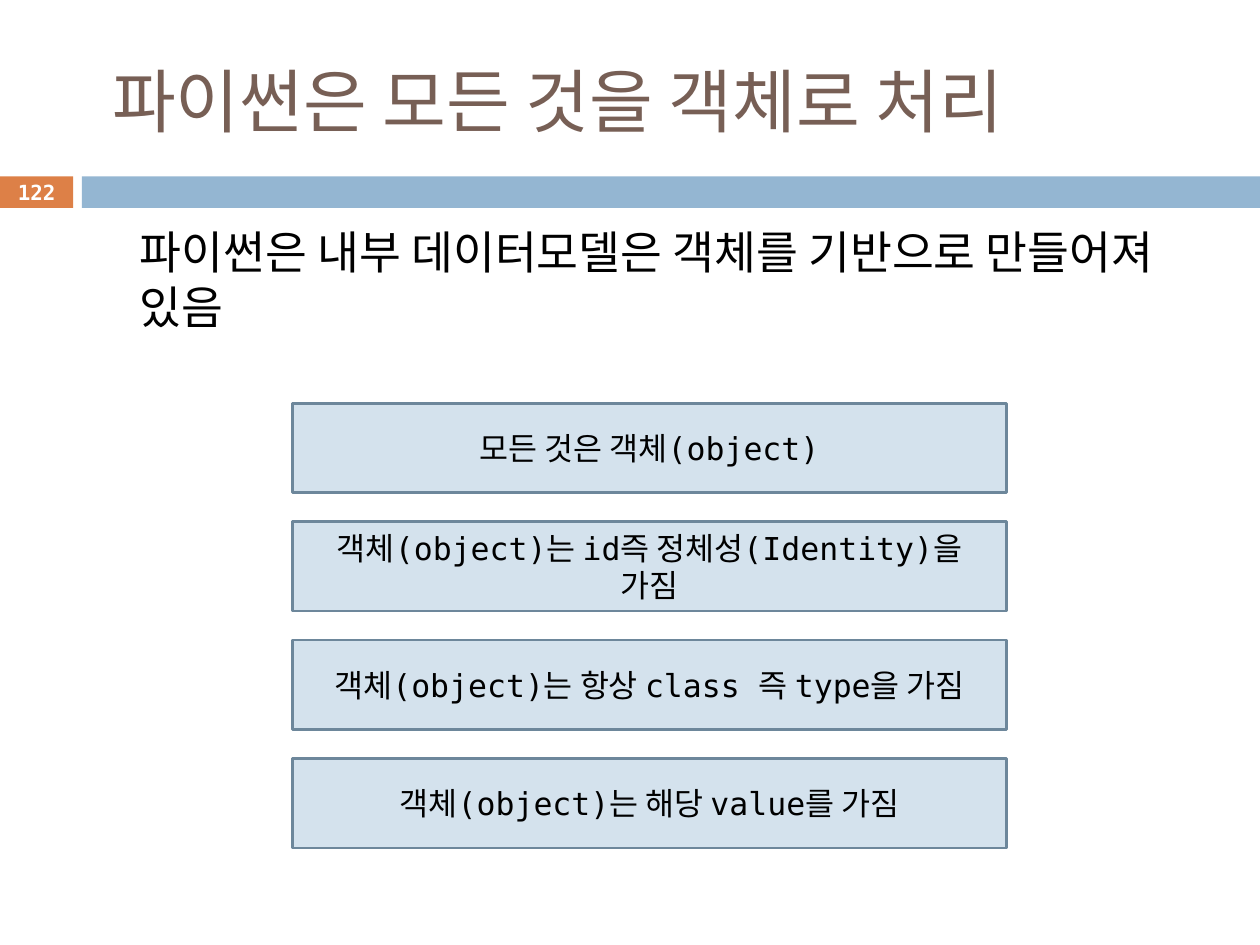
from lxml.etree import SubElement
from pptx import Presentation
from pptx.dml.color import RGBColor
from pptx.enum.shapes import MSO_SHAPE
from pptx.enum.text import MSO_ANCHOR, MSO_AUTO_SIZE, PP_ALIGN
from pptx.oxml.ns import qn
from pptx.util import Inches, Pt

TITLE = "파이썬은 모든 것을 객체로 처리"
SUMMARY = "파이썬은 내부 데이터모델은 객체를 기반으로 만들어져 있음"
PAGE_NUMBER = "122"
OBJECT_FACTS = [
    "모든 것은 객체(object)",
    "객체(object)는 id즉 정체성(Identity)을 가짐",
    "객체(object)는 항상 class 즉 type을 가짐",
    "객체(object)는 해당 value를 가짐",
]

THEME = {
    "font": "DejaVu Sans Mono",
    "title": "775F55", "text": "000000", "page": "FFFFFF",
    "accent": "DD8047", "band": "94B6D2",
    "fact_fill": "D4E2ED", "fact_line": "6D879B",
    "title_size": 39.6, "summary_size": 26, "fact_size": 18, "page_size": 11.9,
}

BAND_TOP, BAND_HEIGHT = 1.4, 0.25
FACT_LEFT, FACT_TOP, FACT_WIDTH, FACT_HEIGHT = 2.32, 3.2, 5.67, 0.71
FACT_PITCH = 0.94


def color(role):
    return RGBColor.from_string(THEME[role])


def place(shape, left, top, width, height):
    shape.left, shape.top = Inches(left), Inches(top)
    shape.width, shape.height = Inches(width), Inches(height)


def write(shape, text, size, role, align, anchor, bold=False):
    frame = shape.text_frame
    frame.word_wrap = True
    frame.auto_size = MSO_AUTO_SIZE.NONE
    frame.vertical_anchor = anchor
    paragraph = frame.paragraphs[0]
    paragraph.alignment = align
    paragraph.space_before = Pt(0)
    run = paragraph.add_run()
    run.text = text
    run.font.name = THEME["font"]
    run.font.size = Pt(THEME[size])
    run.font.bold = bold
    run.font.color.rgb = color(role)
    return paragraph


def add_rectangle(slide, left, top, width, height, fill, line=None):
    rectangle = slide.shapes.add_shape(
        MSO_SHAPE.RECTANGLE, Inches(left), Inches(top), Inches(width), Inches(height))
    rectangle.shadow.inherit = False
    rectangle.fill.solid()
    rectangle.fill.fore_color.rgb = color(fill)
    if line:
        rectangle.line.color.rgb = color(line)
        rectangle.line.width = Pt(1.5)
    else:
        rectangle.line.fill.background()
    return rectangle


def main():
    deck = Presentation()
    deck.slide_width, deck.slide_height = Inches(10), Inches(7.5)
    slide = deck.slides.add_slide(deck.slide_layouts[1])

    title = slide.shapes.title
    place(title, 0.67, 0.25, 8.92, 1.08)
    title.text_frame.margin_left = Inches(0.22)
    write(title, TITLE, "title_size", "title", PP_ALIGN.LEFT, MSO_ANCHOR.MIDDLE)

    summary = slide.placeholders[1]
    place(summary, 0.51, 1.73, 9, 1.55)
    paragraph = write(summary, SUMMARY, "summary_size", "text", PP_ALIGN.LEFT, MSO_ANCHOR.TOP)
    properties = paragraph._p.get_or_add_pPr()
    properties.set("marL", str(Inches(0.5)))
    properties.set("indent", "0")
    SubElement(properties, qn("a:buNone"))

    page = add_rectangle(slide, 0, BAND_TOP, 0.58, BAND_HEIGHT, "accent")
    page.text_frame.margin_top = page.text_frame.margin_bottom = 0
    write(page, PAGE_NUMBER, "page_size", "page", PP_ALIGN.CENTER, MSO_ANCHOR.MIDDLE, bold=True)
    add_rectangle(slide, 0.65, BAND_TOP, 9.35, BAND_HEIGHT, "band")

    for row, text in enumerate(OBJECT_FACTS):
        fact = add_rectangle(slide, FACT_LEFT, FACT_TOP + row * FACT_PITCH,
                             FACT_WIDTH, FACT_HEIGHT, "fact_fill", "fact_line")
        write(fact, text, "fact_size", "text", PP_ALIGN.CENTER, MSO_ANCHOR.MIDDLE)

    deck.save("out.pptx")


if __name__ == "__main__":
    main()
